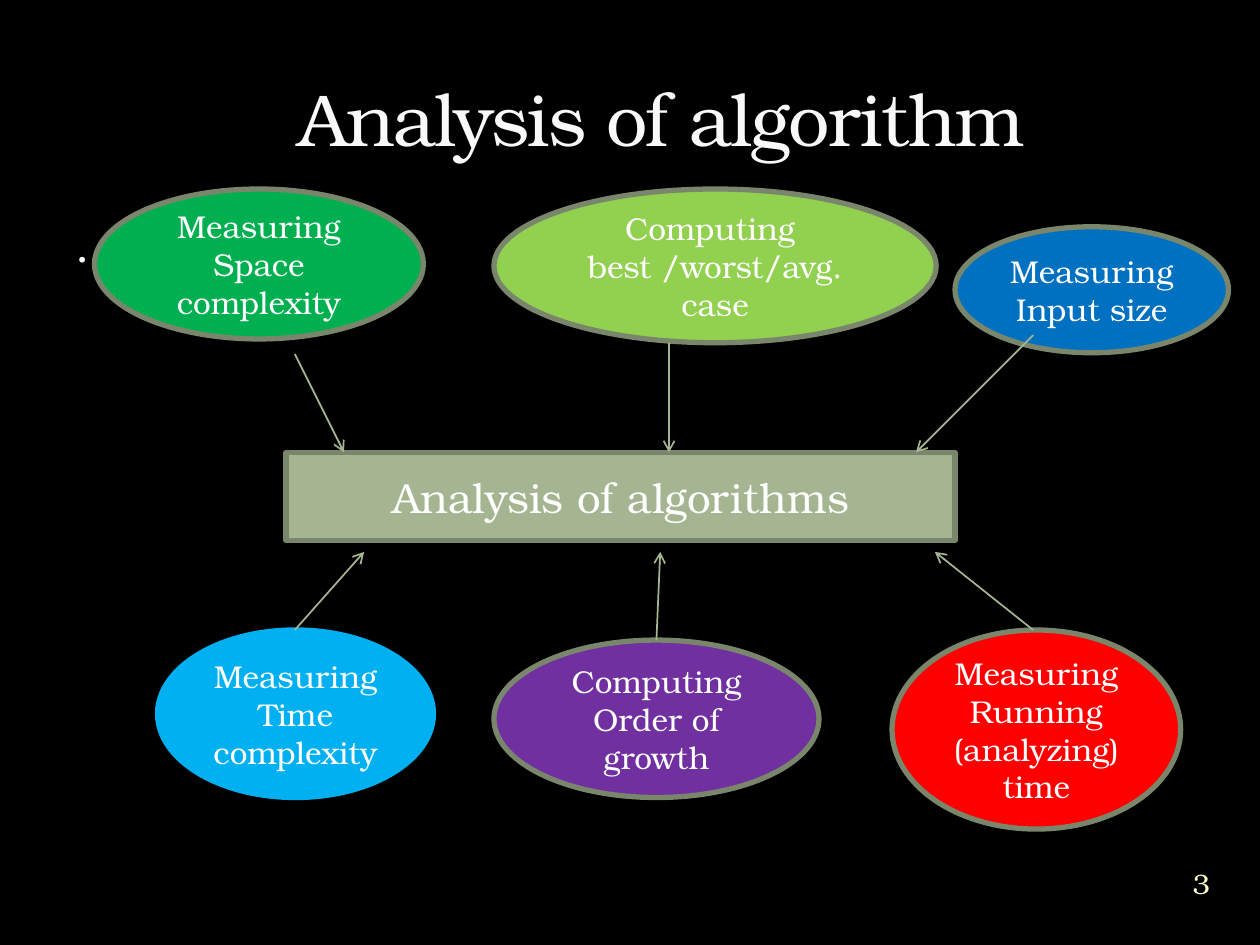
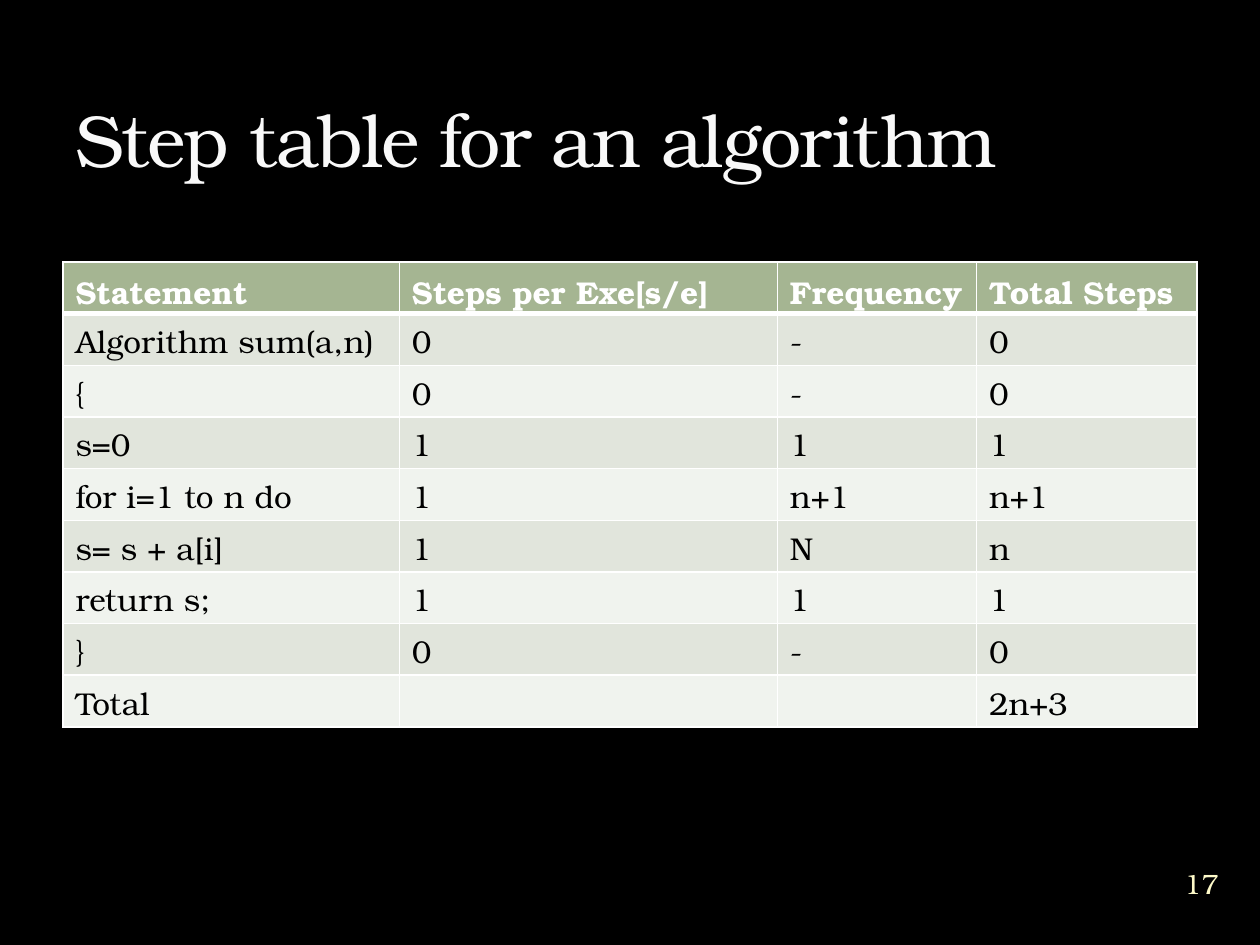
from lxml import etree
from pptx import Presentation
from pptx.dml.color import RGBColor
from pptx.enum.shapes import MSO_CONNECTOR, MSO_SHAPE as Shape
from pptx.enum.text import MSO_ANCHOR as Anchor, MSO_AUTO_SIZE, PP_ALIGN as Align
from pptx.oxml import parse_xml
from pptx.oxml.ns import nsdecls, qn
from pptx.util import Inches, Pt

FONT = "TeX Gyre Bonum"
BLACK = RGBColor(0x00, 0x00, 0x00)
WHITE = RGBColor(0xFF, 0xFF, 0xFF)
TITLE_WHITE = RGBColor(0xF9, 0xF9, 0xF9)
TITLE_EDGE = RGBColor(0x3C, 0x44, 0x22)
NUMBER_CREAM = RGBColor(0xFE, 0xFA, 0xC9)
SAGE = RGBColor(0xA5, 0xB5, 0x92)
DARK_SAGE = RGBColor(0x7A, 0x86, 0x6C)
ROW_TINTS = RGBColor(0xF0, 0xF3, 0xEE), RGBColor(0xE1, 0xE5, 0xDC)
GREEN = RGBColor(0x00, 0xB0, 0x50)
LIME = RGBColor(0x92, 0xD0, 0x50)
BLUE = RGBColor(0x00, 0x70, 0xC0)
SKY = RGBColor(0x00, 0xB0, 0xF0)
PURPLE = RGBColor(0x70, 0x30, 0xA0)
RED = RGBColor(0xFF, 0x00, 0x00)

# Text, offset and size within the diagram, fill, outline
FACTORS = [
    ("Measuring Space complexity", (0.25, 0, 2.61, 1.19), GREEN, DARK_SAGE),
    ("Measuring Time complexity", (0.75, 3.5, 2.19, 1.33), SKY, SKY),
    ("Computing \nbest /worst/avg. case", (3.42, 0, 3.51, 1.22), LIME, DARK_SAGE),
    ("Measuring Input size", (7.08, 0.3, 2.17, 1), BLUE, DARK_SAGE),
    ("Computing Order of growth", (3.42, 3.58, 2.58, 1.25), PURPLE, DARK_SAGE),
    ("Measuring Running\n(analyzing) time", (6.58, 3.5, 2.29, 1.58), RED, DARK_SAGE),
]
HUB_TOP, ARROW_BASE = 2.09, 2.88
# Start and end of each arrow within the diagram
ARROWS = [
    (1.84, 1.31, 2.23, HUB_TOP),
    (4.81, 1.22, 4.81, HUB_TOP),
    (7.7, 1.16, 6.77, HUB_TOP),
    (1.84, 3.5, 2.39, ARROW_BASE),
    (7.7, 3.5, 6.92, ARROW_BASE),
    (4.71, 3.58, 4.74, ARROW_BASE),
]
COLUMN_WIDTHS = 2.67, 3, 1.58, 1.75
ROW_HEIGHT = 0.41
STEPS = [
    ("Statement", "Steps per Exe[s/e]", "Frequency", "Total Steps"),
    ("Algorithm sum(a,n)", "0", "-", "0"),
    ("{", "0", "-", "0"),
    ("s=0", "1", "1", "1"),
    ("for i=1 to n do", "1", "n+1", "n+1"),
    ("s= s + a[i]", "1", "N", "n"),
    ("return s;", "1", "1", "1"),
    ("}", "0", "-", "0"),
    ("Total", "", "", "2n+3"),
]


def inches(*lengths):
    return [Inches(length) for length in lengths]


def write(frame, text, size=18, color=WHITE, bold=False, align=Align.LEFT,
          anchor=Anchor.TOP, space_before=0):
    """Fill a text frame, one paragraph for each line of text."""
    frame.text = text
    frame.word_wrap = True
    frame.vertical_anchor = anchor
    for paragraph in frame.paragraphs:
        paragraph.alignment = align
        paragraph.space_before = Pt(space_before)
        for run in paragraph.runs:
            run.font.name = FONT
            run.font.size = Pt(size)
            run.font.bold = bold
            run.font.color.rgb = color


def line_xml(tag, color, width, alpha=100):
    return parse_xml(
        f'<a:{tag} {nsdecls("a")} w="{Pt(width)}"><a:solidFill><a:srgbClr val="{color}">'
        f'<a:alpha val="{alpha * 1000}"/></a:srgbClr></a:solidFill></a:{tag}>')


def add_titled_slide(prs, title, box, number, align=Align.LEFT):
    """Add a slide with the shared title style and page number."""
    slide = prs.slides.add_slide(prs.slide_layouts[5])
    heading = slide.shapes.title
    heading.left, heading.top, heading.width, heading.height = inches(*box)
    write(heading.text_frame, title, size=42, color=TITLE_WHITE, align=align,
          anchor=Anchor.BOTTOM)
    heading.text_frame.auto_size = MSO_AUTO_SIZE.NONE
    run_format = heading.text_frame.paragraphs[0].runs[0].font._element
    run_format.set("spc", "-100")
    run_format.insert(0, line_xml("ln", TITLE_EDGE, 0.25, alpha=25))

    page = slide.shapes.add_textbox(*inches(9.2, 6.76, 0.67, 0.5)).text_frame
    page.margin_left = page.margin_right = page.margin_top = page.margin_bottom = 0
    write(page, str(number), size=16, color=NUMBER_CREAM, align=Align.CENTER,
          anchor=Anchor.MIDDLE)
    return slide


def add_node(slide, kind, box, text, fill, outline, size=18):
    node = slide.shapes.add_shape(kind, *inches(*box))
    node.shadow.inherit = False
    node.fill.solid()
    node.fill.fore_color.rgb = fill
    node.line.color.rgb = outline
    node.line.width = Pt(3)
    write(node.text_frame, text, size=size, align=Align.CENTER, anchor=Anchor.MIDDLE)


def add_arrow(slide, ends):
    arrow = slide.shapes.add_connector(MSO_CONNECTOR.STRAIGHT, *inches(*ends))
    arrow.line.color.rgb = SAGE
    arrow.line.width = Pt(1)
    etree.SubElement(arrow.line._get_or_add_ln(), qn("a:tailEnd"), type="arrow")
    etree.SubElement(arrow._element.spPr, qn("a:effectLst"))


def add_factor_diagram(slide, left, top):
    """Place the hub, its surrounding factors and the arrows between them."""
    add_node(slide, Shape.RECTANGLE, (left + 1.77, top + HUB_TOP, 5.31, 0.7),
             "Analysis of algorithms", SAGE, DARK_SAGE, size=24)
    for text, (x, y, width, height), fill, outline in FACTORS:
        add_node(slide, Shape.OVAL, (left + x, top + y, width, height), text, fill, outline)
    for x1, y1, x2, y2 in ARROWS:
        add_arrow(slide, (left + x1, top + y1, left + x2, top + y2))


def add_step_table(slide, left, top):
    box = inches(left, top, sum(COLUMN_WIDTHS), ROW_HEIGHT * len(STEPS))
    table = slide.shapes.add_table(len(STEPS), len(COLUMN_WIDTHS), *box).table
    for column, width in zip(table.columns, COLUMN_WIDTHS):
        column.width = Inches(width)
    for r, values in enumerate(STEPS):
        table.rows[r].height = Inches(ROW_HEIGHT)
        header = r == 0
        for c, value in enumerate(values):
            cell = table.cell(r, c)
            write(cell.text_frame, value, color=WHITE if header else BLACK, bold=header)
            borders = cell._tc.get_or_add_tcPr()
            for side in "LRTB":
                thick = (header and side == "B") or (r == 1 and side == "T")
                borders.append(line_xml(f"ln{side}", WHITE, 3 if thick else 1))
            cell.fill.solid()
            cell.fill.fore_color.rgb = SAGE if header else ROW_TINTS[r % 2]


def build_analysis_slide(prs):
    slide = add_titled_slide(prs, "Analysis of algorithm", (1, 0.3, 8.5, 1.03), 3,
                             align=Align.CENTER)
    body = slide.shapes.add_textbox(*inches(0.5, 1.67, 9, 5))
    write(body.text_frame, ".", size=26, space_before=6)
    add_factor_diagram(slide, 0.5, 1.5)


def build_step_table_slide(prs):
    slide = add_titled_slide(prs, "Step table for an algorithm", (0.5, 0.17, 9, 1.33), 17)
    add_step_table(slide, 0.5, 2.08)


def main():
    prs = Presentation()
    prs.slide_width, prs.slide_height = inches(10, 7.5)
    backdrop = prs.slide_master.background.fill
    backdrop.solid()
    backdrop.fore_color.rgb = BLACK
    build_analysis_slide(prs)
    build_step_table_slide(prs)
    prs.save("out.pptx")


if __name__ == "__main__":
    main()
